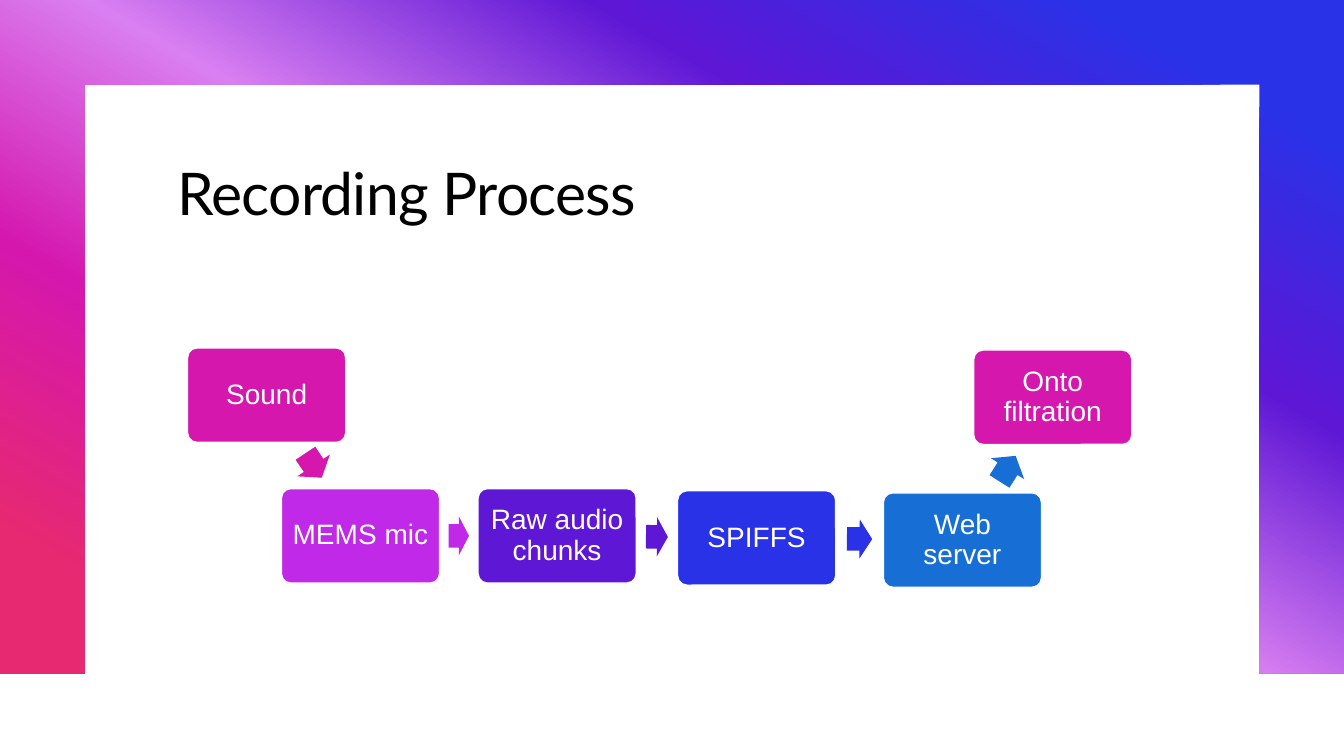
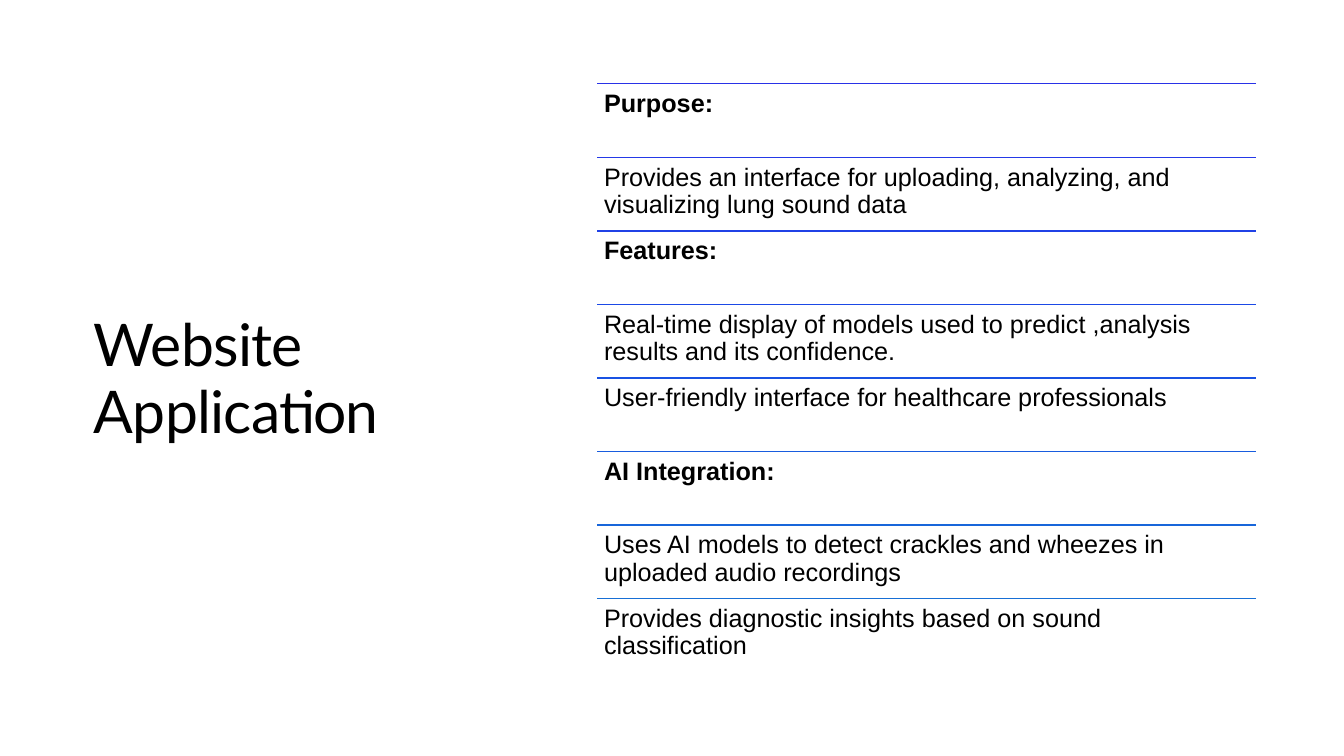
import colorsys
import math
from itertools import pairwise

from lxml import etree
from pptx import Presentation
from pptx.dml.color import RGBColor
from pptx.enum import shapes, text
from pptx.oxml import ns
from pptx.util import Pt

BLACK = RGBColor(0x00, 0x00, 0x00)
WHITE = RGBColor(0xFF, 0xFF, 0xFF)
BLUE = RGBColor(0x29, 0x32, 0xE7)
SKY = RGBColor(0x17, 0x6F, 0xD5)
INDIGO = RGBColor(0x5E, 0x17, 0xD5)
VIOLET = RGBColor(0xBF, 0x29, 0xE7)
ORCHID = RGBColor(0xD9, 0x7F, 0xF1)
MAGENTA = RGBColor(0xD5, 0x17, 0xAE)
ROSE = RGBColor(0xE7, 0x29, 0x71)

TITLE_FONT, BODY_FONT = "Lato", "Arial"
PAGE_WIDTH, PAGE_HEIGHT = 960, 540
FRAME_GRADIENT = [(10, BLUE), (30, INDIGO), (50, ORCHID), (70, MAGENTA), (90, ROSE)]

STEP_WIDTH, STEP_HEIGHT = 113, 67.5
STEPS = [  # label, left, top, colour
    ("Sound", 0, 0, MAGENTA),
    ("MEMS mic", 67, 100.5, VIOLET),
    ("Raw audio chunks", 207.5, 100.5, INDIGO),
    ("SPIFFS", 350, 102, BLUE),
    ("Web server", 497, 103.5, SKY),
    ("Onto filtration", 561.5, 1.5, MAGENTA),
]

ROWS = [  # text, is heading
    ("Purpose:", True),
    ("Provides an interface for uploading, analyzing, and visualizing lung sound data", False),
    ("Features:", True),
    ("Real-time display of models used to predict ,analysis results and its confidence.", False),
    ("User-friendly interface for healthcare professionals", False),
    ("AI Integration:", True),
    ("Uses AI models to detect crackles and wheezes in uploaded audio recordings", False),
    ("Provides diagnostic insights based on sound classification", False),
]


def points(*lengths):
    return [Pt(length) for length in lengths]


def write(shape, words, size, color, font=BODY_FONT, bold=False, spacing=0.9,
          align=text.PP_ALIGN.LEFT, anchor=text.MSO_ANCHOR.TOP, inset=(5, 5)):
    """Fill a shape with one wrapped paragraph; inset is (sides, top and bottom)."""
    frame = shape.text_frame
    frame.word_wrap = True
    frame.vertical_anchor = anchor
    frame.margin_left = frame.margin_right = Pt(inset[0])
    frame.margin_top = frame.margin_bottom = Pt(inset[1])
    para = frame.paragraphs[0]
    para.alignment = align
    para.line_spacing = spacing
    para.font.name = font
    para.font.size = Pt(size)
    para.font.bold = bold
    para.font.color.rgb = color
    span = para.add_run()
    span.text = words
    return span


def add_title(page, box, words, anchor=text.MSO_ANCHOR.TOP):
    title = page.shapes.add_textbox(*points(*box))
    span = write(title, words, 42, BLACK, TITLE_FONT, spacing=0.95,
                 anchor=anchor, inset=(7.2, 3.6))
    span._r.get_or_add_rPr().set("spc", "-50")


def add_frame(page, box, band):
    """Draw a gradient band along the left, top and right of the box."""
    left, top, width, height = box
    right, bottom = left + width, top + height
    corners = [(right, top), (right, bottom), (right - band, bottom),
               (right - band, top + band), (left + band, top + band),
               (left + band, bottom), (left, bottom)]
    outline = page.shapes.build_freeform(Pt(left), Pt(top))
    outline.add_line_segments([points(*corner) for corner in corners], close=True)
    frame = outline.convert_to_shape()
    frame.shadow.inherit = False
    frame.line.fill.background()
    frame.fill.gradient()
    frame.fill.gradient_angle = 240
    stops = frame._element.spPr.find(".//" + ns.qn("a:gsLst"))
    for stop in list(stops):
        stops.remove(stop)
    for percent, color in FRAME_GRADIENT:
        stop = etree.SubElement(stops, ns.qn("a:gs"), pos=str(percent * 1000))
        etree.SubElement(stop, ns.qn("a:srgbClr"), val=str(color))


def add_solid(page, kind, box, color):
    shape = page.shapes.add_shape(kind, *points(*box))
    shape.shadow.inherit = False
    shape.fill.solid()
    shape.fill.fore_color.rgb = color
    return shape


def add_step(page, box, label, color):
    step = add_solid(page, shapes.MSO_SHAPE.ROUNDED_RECTANGLE, box, color)
    step.adjustments[0] = 0.1
    step.line.color.rgb = WHITE
    step.line.width = Pt(1)
    write(step, label, 20, WHITE, align=text.PP_ALIGN.CENTER,
          anchor=text.MSO_ANCHOR.MIDDLE, inset=(5.5, 5.5))


def add_step_arrow(page, start, end, color):
    """Point from one step to the next, filling about half the gap between them."""
    across, down = end[0] - start[0], end[1] - start[1]
    covered = min(STEP_WIDTH / abs(across),
                  STEP_HEIGHT / abs(down) if down else math.inf)
    length = 0.53 * math.hypot(across, down) * (1 - covered)
    thickness = 28
    box = ((start[0] + end[0] - length) / 2, (start[1] + end[1] - thickness) / 2,
           length, thickness)
    arrow = add_solid(page, shapes.MSO_SHAPE.RIGHT_ARROW, box, color)
    arrow.adjustments[0] = 0.6
    arrow.adjustments[1] = 0.5
    arrow.line.fill.background()
    arrow.rotation = math.degrees(math.atan2(down, across))


def add_process(page, left, top):
    centers = []
    for label, x, y, color in STEPS:
        add_step(page, (left + x, top + y, STEP_WIDTH, STEP_HEIGHT), label, color)
        centers.append((left + x + STEP_WIDTH / 2, top + y + STEP_HEIGHT / 2))
    for (start, end), step in zip(pairwise(centers), STEPS):
        add_step_arrow(page, start, end, step[-1])


def blend(first, last, share):
    """Mix two colours by hue, lightness and saturation."""
    ends = [colorsys.rgb_to_hls(*(part / 255 for part in color)) for color in (first, last)]
    mixed = [a + (b - a) * share for a, b in zip(*ends)]
    return RGBColor(*(round(part * 255) for part in colorsys.hls_to_rgb(*mixed)))


def add_ruled_list(page, box):
    left, top, width, height = box
    pitch = height / len(ROWS)
    for index, (words, heading) in enumerate(ROWS):
        y = top + index * pitch
        rule = page.shapes.add_connector(shapes.MSO_CONNECTOR.STRAIGHT,
                                         *points(left, y, left + width, y))
        rule.line.color.rgb = blend(BLUE, SKY, index / (len(ROWS) - 1))
        rule.line.width = Pt(1)
        etree.SubElement(rule._element.spPr, ns.qn("a:effectLst"))
        row = page.shapes.add_textbox(*points(left, y, width, pitch))
        write(row, words, 18, BLACK, bold=heading)


def build_recording_page(page):
    add_frame(page, (0, 0, PAGE_WIDTH, 481), 60.5)
    add_title(page, (119.5, 112, 720, 72), "Recording Process")
    add_process(page, 134, 248.5)


def build_website_page(page):
    add_title(page, (60, 61, 307.5, 420.5), "Website Application",
              text.MSO_ANCHOR.MIDDLE)
    add_ruled_list(page, (426.5, 59.8, 471, 420.4))


def main():
    deck = Presentation()
    deck.slide_width, deck.slide_height = points(PAGE_WIDTH, PAGE_HEIGHT)
    for build in (build_recording_page, build_website_page):
        build(deck.slides.add_slide(deck.slide_layouts[6]))
    deck.save("out.pptx")


if __name__ == "__main__":
    main()
